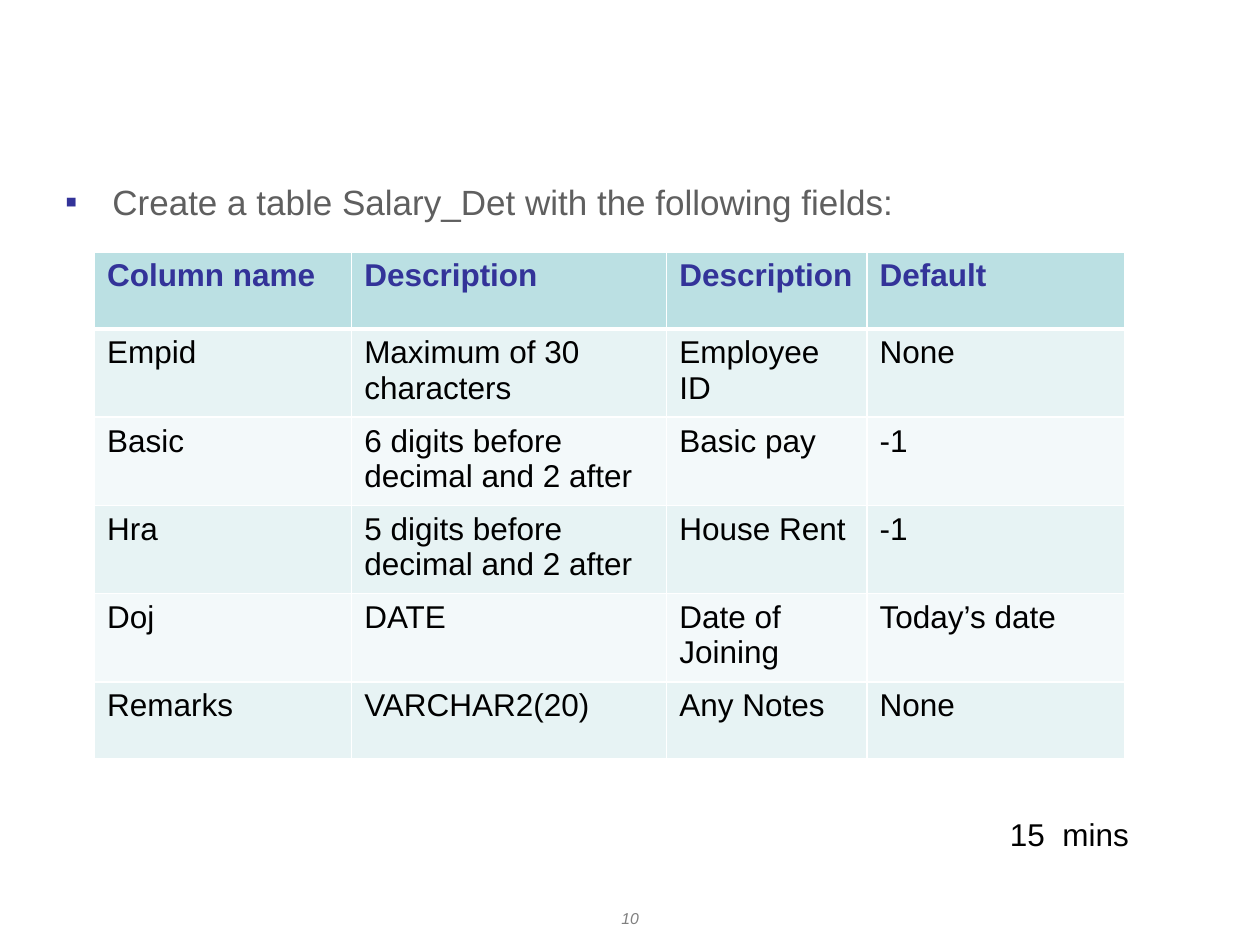
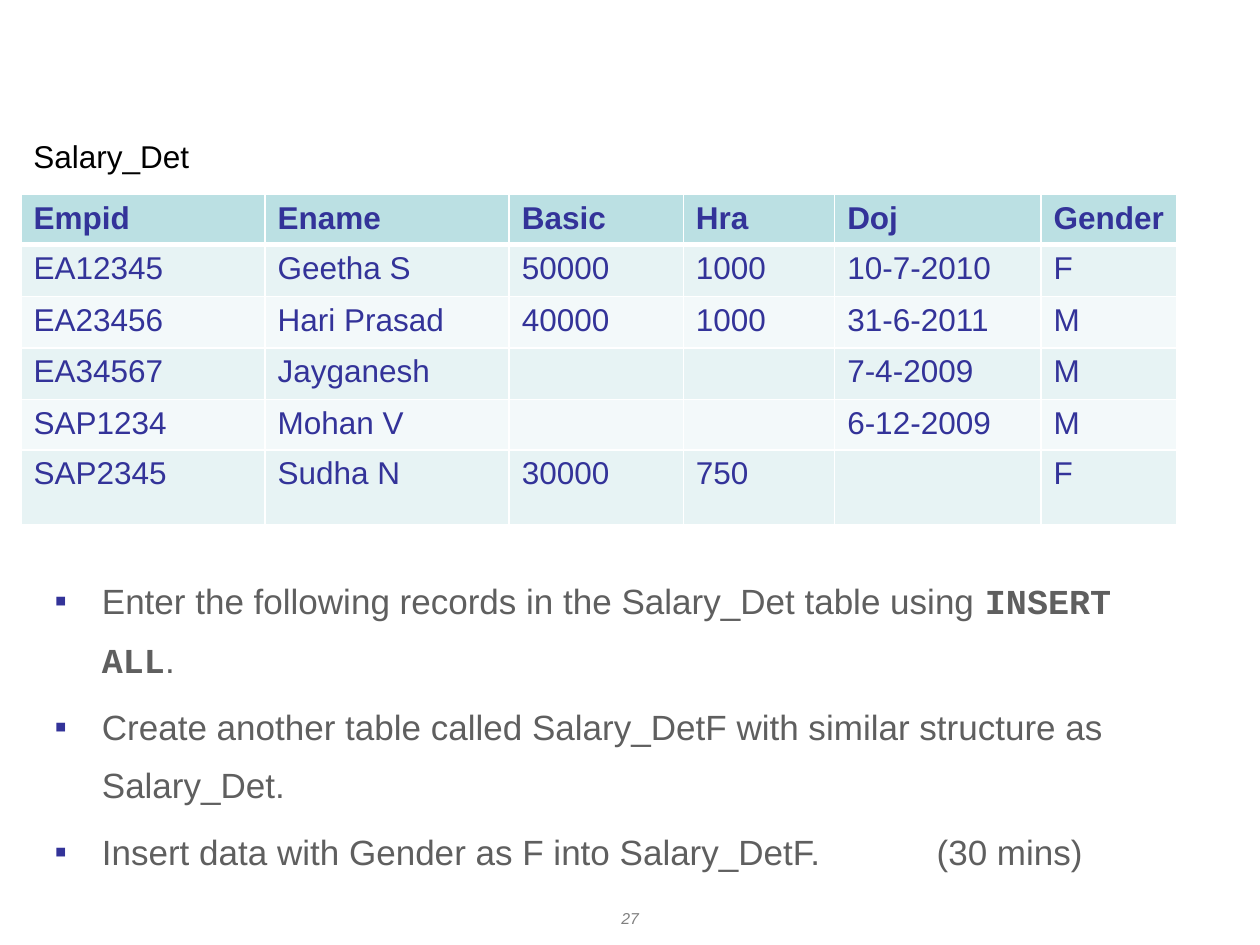
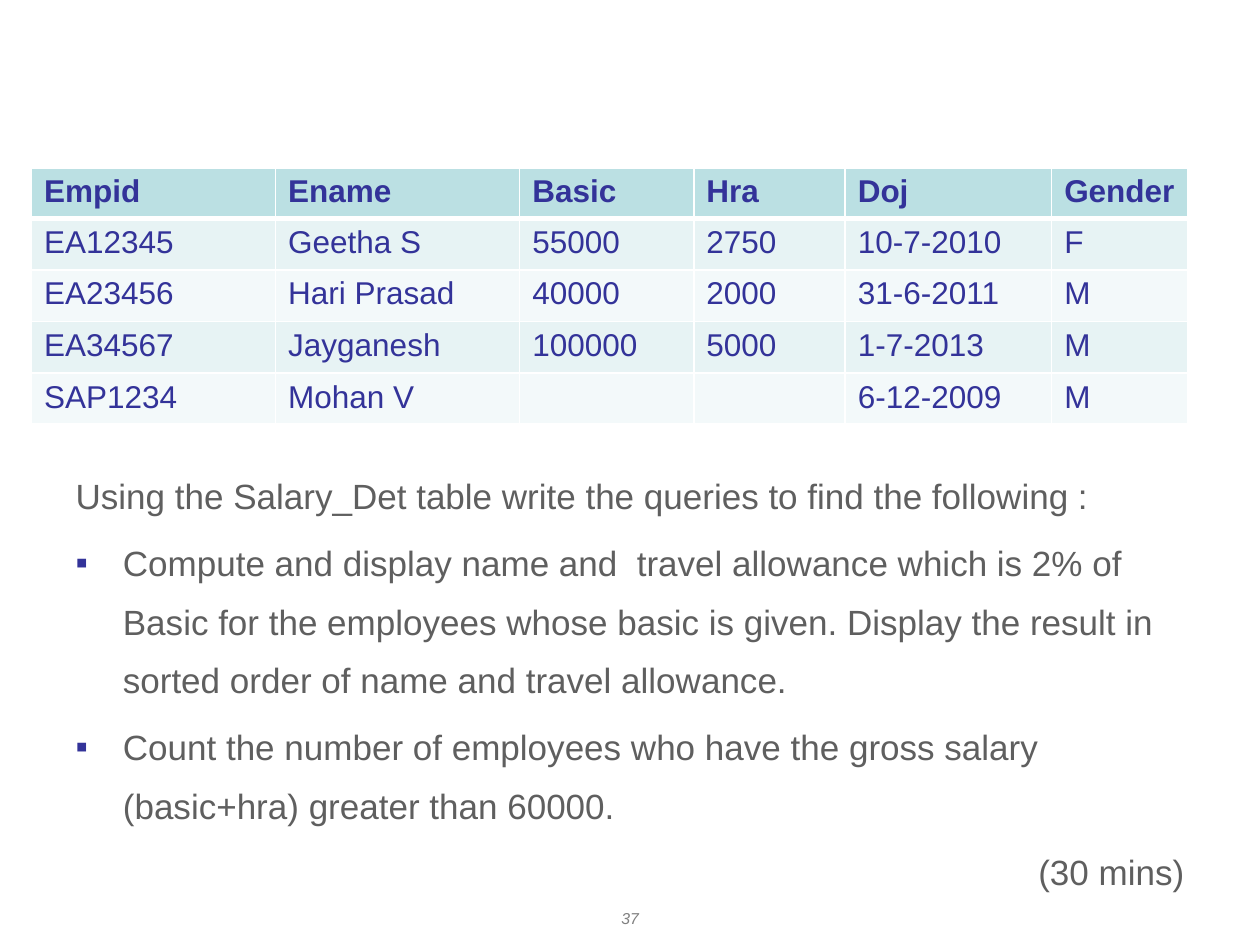
from lxml import etree
from pptx import Presentation
from pptx.dml.color import RGBColor
from pptx.enum import text
from pptx.oxml import ns
from pptx.util import Pt

# Colours and fonts
NAVY = RGBColor(0x33, 0x33, 0x99)
GREY = RGBColor(0x5F, 0x5F, 0x5F)
PALE = RGBColor(0x80, 0x80, 0x80)
BLACK = RGBColor(0, 0, 0)
WHITE = RGBColor(0xFF, 0xFF, 0xFF)
HEAD = RGBColor(0xBB, 0xE0, 0xE3)
BANDS = (RGBColor(0xE7, 0xF3, 0xF4), RGBColor(0xF3, 0xF9, 0xFA))
SANS, MONO = "Arial", "Courier New"

# Columns of the salary table, used on two slides
STAFF = (139.5, 139.5, 99.5, 86.5, 118, 77.75)
FIELDS = ("Empid", "Ename", "Basic", "Hra", "Doj", "Gender")


def node(up, tag, **attrs):
    return etree.SubElement(up, ns.qn(tag), attrs)


class Deck:
    indent = 27

    def __init__(self):
        self.prs = Presentation()
        self.prs.slide_width, self.prs.slide_height = Pt(720), Pt(540)
        self.slide = None

    def page(self, num):
        self.slide = self.prs.slides.add_slide(self.prs.slide_layouts[1])
        title = self.slide.shapes.title.element
        title.getparent().remove(title)
        self.label(num, 276, 516, 168, 19, 9, PALE, True)

    def style(self, para, size, color, bold=False, italic=False):
        for run in para.runs:
            font = run.font
            font.name, font.size = SANS, Pt(size)
            font.bold, font.italic = bold, italic
            font.color.rgb = color

    def label(self, words, x, y, w, h, size=18, color=BLACK, footer=False):
        box = self.slide.shapes.add_textbox(Pt(x), Pt(y), Pt(w), Pt(h))
        frame = box.text_frame
        frame.text = words
        frame.word_wrap = footer
        para = frame.paragraphs[0]
        if footer:
            para.alignment = text.PP_ALIGN.CENTER
        else:
            frame.auto_size = text.MSO_AUTO_SIZE.SHAPE_TO_FIT_TEXT
        self.style(para, size, color, italic=footer)

    def body(self, items, x, y, w, h):
        """Items are (kind, words); words between backticks are code."""
        box = self.slide.placeholders[1]
        box.left, box.top, box.width, box.height = Pt(x), Pt(y), Pt(w), Pt(h)
        frame = box.text_frame
        frame.auto_size = text.MSO_AUTO_SIZE.NONE
        frame.vertical_anchor = text.MSO_ANCHOR.TOP
        for i, (kind, words) in enumerate(items):
            para = frame.add_paragraph() if i else frame.paragraphs[0]
            parts = words.split("`")
            para.text = parts[0]
            for part in parts[1:]:
                para.add_run().text = part
            self.style(para, 20, GREY)
            for run in para.runs[1::2]:
                run.font.name, run.font.bold = MONO, True
            para.line_spacing, para.space_before = 1.4, Pt(4.5)
            self.bullet(para, kind)

    def bullet(self, para, kind):
        props = para._p.get_or_add_pPr()
        step = 0 if kind == "right" else Pt(self.indent)
        props.set("marL", str(step))
        props.set("indent", str(-step))
        props.set("defTabSz", str(Pt(72)))
        if kind == "right":
            para.alignment = text.PP_ALIGN.RIGHT
        if kind == "bullet":
            node(node(props, "a:buClr"), "a:srgbClr", val=str(NAVY))
            node(props, "a:buFont", typeface=SANS)
            node(props, "a:buChar", char="▪")
        else:
            node(props, "a:buNone")

    def table(self, rows, x, y, widths, heights, color=NAVY):
        grid = self.slide.shapes.add_table(
            len(rows), len(widths), Pt(x), Pt(y),
            Pt(sum(widths)), Pt(sum(heights))).table
        for col, width in zip(grid.columns, widths):
            col.width = Pt(width)
        for r, (row, height) in enumerate(zip(rows, heights)):
            grid.rows[r].height = Pt(height)
            for c, words in enumerate(row):
                cell = grid.cell(r, c)
                cell.text = words
                self.style(cell.text_frame.paragraphs[0], 18,
                           color if r else NAVY, bold=r == 0)
                self.edge(cell, 3 if r == 1 else 1, 1 if r else 3)
                cell.fill.solid()
                cell.fill.fore_color.rgb = BANDS[(r - 1) % 2] if r else HEAD

    def edge(self, cell, top, low):
        props = cell._tc.get_or_add_tcPr()
        for side, width in zip("LRTB", (1, 1, top, low)):
            line = node(props, f"a:ln{side}", w=str(Pt(width)))
            node(node(line, "a:solidFill"), "a:srgbClr", val=str(WHITE))


def main():
    deck = Deck()

    # Create the table
    deck.page("10")
    deck.body([("bullet", "Create a table Salary_Det with the following fields:")],
              30, 90, 648, 36)
    deck.table([
        ("Column name", "Description", "Description", "Default"),
        ("Empid", "Maximum of 30 characters", "Employee ID", "None"),
        ("Basic", "6 digits before decimal and 2 after", "Basic pay", "-1"),
        ("Hra", "5 digits before decimal and 2 after", "House Rent", "-1"),
        ("Doj", "DATE", "Date of Joining", "Today’s date"),
        ("Remarks", "VARCHAR2(20)", "Any Notes", "None"),
    ], 54, 144, (147, 180, 114.5, 147), (44, *[47.5] * 4, 44), BLACK)
    deck.label("15  mins", 570, 462, 83.5, 29)

    # Insert the records
    deck.page("27")
    deck.table([
        FIELDS,
        ("EA12345", "Geetha S", "50000", "1000", "10-7-2010", "F"),
        ("EA23456", "Hari Prasad", "40000", "1000", "31-6-2011", "M"),
        ("EA34567", "Jayganesh", "", "", "7-4-2009", "M"),
        ("SAP1234", "Mohan V", "", "", "6-12-2009", "M"),
        ("SAP2345", "Sudha N", "30000", "750", "", "F"),
    ], 12, 111, STAFF, (28, *[29.5] * 3, 28, 42.5))
    deck.body([
        ("bullet", "Enter the following records in the Salary_Det table using "
                   "`INSERT ALL`."),
        ("bullet", "Create another table called Salary_DetF with similar "
                   "structure as Salary_Det."),
        ("bullet", "Insert data with Gender as F into Salary_DetF.\t(30 mins)"),
    ], 24, 318, 666, 156)
    deck.label("Salary_Det", 12, 75, 104.5, 29)

    # Query the records
    deck.page("37")
    deck.body([
        ("plain", "Using the Salary_Det table write the queries to find the "
                  "following :"),
        ("bullet", "Compute and display name and  travel allowance which is 2% "
                   "of Basic for the employees whose basic is given. Display "
                   "the result in sorted order of name and travel allowance."),
        ("bullet", "Count the number of employees who have the gross salary "
                   "(basic+hra) greater than 60000."),
        ("right", "(30 mins)"),
    ], 36, 258, 648, 216)
    deck.table([
        FIELDS,
        ("EA12345", "Geetha S", "55000", "2750", "10-7-2010", "F"),
        ("EA23456", "Hari Prasad", "40000", "2000", "31-6-2011", "M"),
        ("EA34567", "Jayganesh", "100000", "5000", "1-7-2013", "M"),
        ("SAP1234", "Mohan V", "", "", "6-12-2009", "M"),
    ], 18, 96, STAFF, (28, *[29.5] * 3, 28))

    deck.prs.save("out.pptx")


if __name__ == "__main__":
    main()
